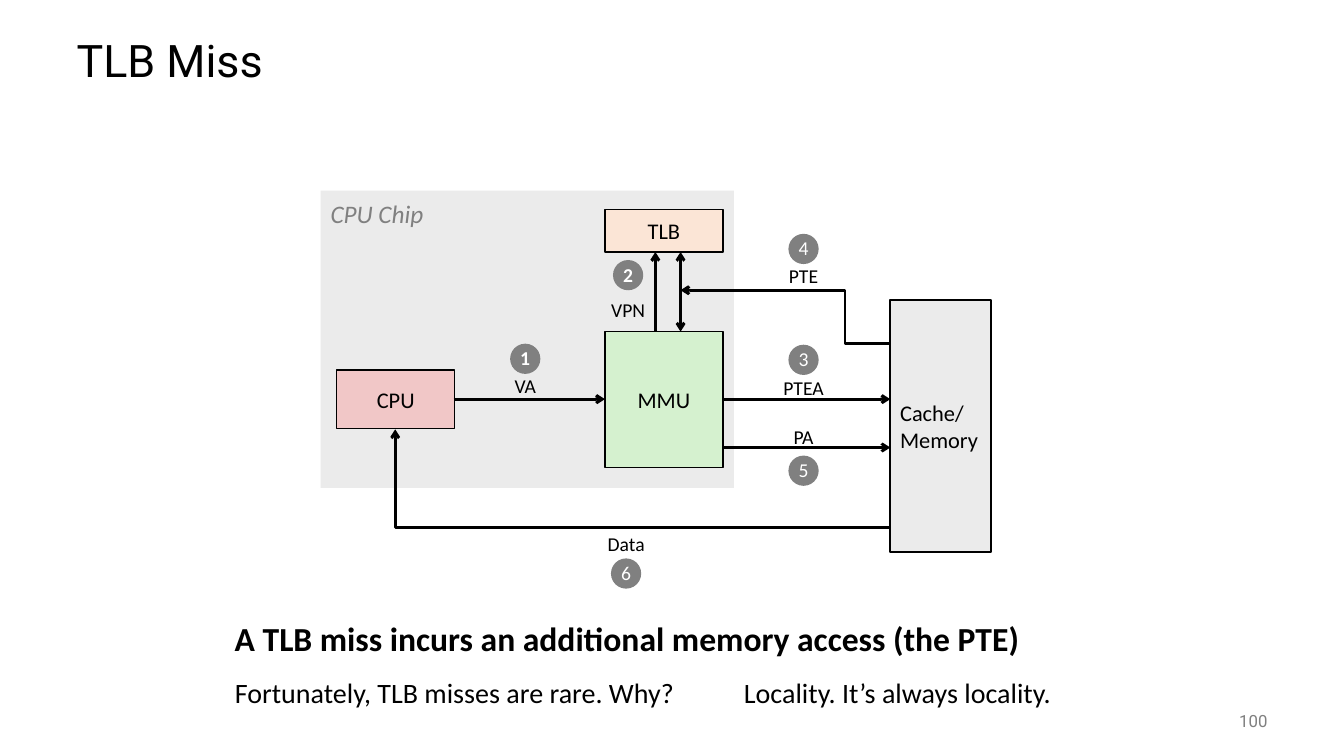
from lxml import etree
from pptx import Presentation
from pptx.dml.color import RGBColor
from pptx.enum.shapes import MSO_CONNECTOR, MSO_SHAPE
from pptx.enum.text import MSO_ANCHOR, PP_ALIGN
from pptx.oxml.ns import qn
from pptx.util import Inches, Pt

RECT, OVAL = MSO_SHAPE.RECTANGLE, MSO_SHAPE.OVAL
STRAIGHT, ELBOW = MSO_CONNECTOR.STRAIGHT, MSO_CONNECTOR.ELBOW
LEFT, CENTER, RIGHT = PP_ALIGN.LEFT, PP_ALIGN.CENTER, PP_ALIGN.RIGHT
TOP, MIDDLE = MSO_ANCHOR.TOP, MSO_ANCHOR.MIDDLE

COLORS = {
    "ink": "000000", "white": "FFFFFF", "gray": "808080", "panel": "EBEBEB",
    "cpu": "F1C7C7", "mmu": "D5F1CF", "tlb": "FBE5D6",
}

COL = {
    "chip": 3.18, "cpu": 3.34, "cpu_mid": 3.92, "cpu_end": 4.5, "mmu": 6,
    "lookup": 6.5, "refill": 6.75, "mmu_end": 7.17, "memory": 8.83,
    "va": 5.21, "vpn": 6.23, "bus": 7.97, "data": 6.21, "notes": 2.23,
}
ROW = {
    "chip": 1.89, "tlb": 2.08, "tlb_end": 2.5, "pte": 2.88, "memory": 2.98,
    "mmu": 3.29, "pte_out": 3.41, "cpu": 3.67, "address": 3.96,
    "cpu_end": 4.26, "pa": 4.44, "data": 5.23, "notes": 6.08, "answer": 6.65,
}
UNIT_W, BADGE, LABEL_H = 1.17, 0.3, 0.33

TITLE = "TLB Miss"
PAGE = "100"

UNITS = [
    (["MMU"], "mmu", "mmu", UNIT_W, 1.35, "mmu", 1, CENTER),
    (["Cache/", "Memory"], "memory", "memory", 1, 2.5, "panel", 1.5, LEFT),
    (["CPU"], "cpu", "cpu", UNIT_W, 0.58, "cpu", 1, CENTER),
    (["TLB"], "mmu", "tlb", UNIT_W, 0.42, "tlb", 1, CENTER),
]

ARROWS = [
    (("mmu_end", "pa"), ("memory", "pa"), ["tailEnd"]),
    (("cpu_end", "address"), ("mmu", "address"), ["tailEnd"]),
    (("lookup", "mmu"), ("lookup", "tlb_end"), ["tailEnd"]),
    (("refill", "tlb_end"), ("refill", "mmu"), ["headEnd", "tailEnd"]),
    (("mmu_end", "address"), ("memory", "address"), ["tailEnd"]),
    (("memory", "data"), ("cpu_mid", "cpu_end"), ["tailEnd"]),
    (("memory", "pte_out"), ("refill", "pte"), ["tailEnd"]),
]
CORNER_ARROW, STEP_ARROW = 5, 6
STEP_SHARE = 0.216

STEPS = [
    ("1", "VA", "va", 3.56, 3.84, 0.42, True),
    ("2", "VPN", "vpn", 2.73, 3.08, 0.55, True),
    ("3", "PTEA", "bus", 3.57, 3.86, 0.61, False),
    ("4", "PTE", "bus", 2.47, 2.74, 0.5, False),
    ("5", "PA", "bus", 4.67, 4.34, 0.41, False),
    ("6", "Data", "data", 5.69, 5.4, 0.58, False),
]

NOTES = [
    ("A TLB miss incurs an additional memory access (the PTE)",
     COL["notes"], ROW["notes"], 8.43, 1, 24, True),
    ("Fortunately, TLB misses are rare. Why?",
     COL["notes"], ROW["answer"], 4.65, 0.44, 20, False),
    ("Locality. It’s always locality.",
     7.28, ROW["answer"], 3.28, 0.44, 20, False),
]

deck = Presentation()
deck.slide_width, deck.slide_height = Inches(13.33), Inches(7.5)
slide = deck.slides.add_slide(deck.slide_layouts[5])


def rgb(name):
    return RGBColor.from_string(COLORS[name])


def write(target, lines, size, color="ink", align=LEFT, anchor=MIDDLE,
          bold=False, italic=False, font="Calibri", wrap=False, spacing=None):
    frame = target.text_frame
    frame.word_wrap = wrap
    frame.vertical_anchor = anchor
    for index, line in enumerate(lines):
        paragraph = frame.add_paragraph() if index else frame.paragraphs[0]
        paragraph.alignment = align
        if spacing:
            paragraph.line_spacing = spacing
        run = paragraph.add_run()
        run.text = line
        run.font.name, run.font.size = font, Pt(size)
        run.font.bold, run.font.italic = bold, italic
        run.font.color.rgb = rgb(color)


def add_block(kind, x, y, w, h, fill, border=0):
    block = slide.shapes.add_shape(kind, Inches(x), Inches(y), Inches(w), Inches(h))
    block.shadow.inherit = False
    block.fill.solid()
    block.fill.fore_color.rgb = rgb(fill)
    if border:
        block.line.color.rgb = rgb("ink")
        block.line.width = Pt(border)
    else:
        block.line.fill.background()
    return block


def add_words(text, x, y, w, h, size, **style):
    box = slide.shapes.add_textbox(Inches(x), Inches(y), Inches(w), Inches(h))
    write(box, [text], size, **style)


def add_arrow(kind, start, end, heads):
    (x1, y1), (x2, y2) = start, end
    arrow = slide.shapes.add_connector(
        kind, Inches(COL[x1]), Inches(ROW[y1]), Inches(COL[x2]), Inches(ROW[y2]))
    arrow.line.color.rgb = rgb("ink")
    arrow.line.width = Pt(2)
    properties = arrow.element.spPr
    outline = properties.find(qn("a:ln"))
    for head in heads:
        etree.SubElement(outline, qn("a:" + head), type="arrow")
    etree.SubElement(properties, qn("a:effectLst"))
    return arrow


title = slide.shapes.title
title.left, title.top = Inches(0.66), Inches(0.25)
title.width, title.height = Inches(12), Inches(0.75)
write(title, [TITLE], 32, font="Roboto", wrap=True, spacing=0.9)

add_block(RECT, COL["chip"], ROW["chip"], 4.1, 2.95, "panel")
add_words("CPU Chip", COL["chip"], ROW["chip"] + 0.03, 1.16, 0.4, 18,
          color="gray", italic=True, anchor=TOP)

for lines, column, row, w, h, fill, border, align in UNITS:
    unit = add_block(RECT, COL[column], ROW[row], w, h, fill, border)
    write(unit, lines, 16, align=align)

for index, (start, end, heads) in enumerate(ARROWS):
    bent = index in (CORNER_ARROW, STEP_ARROW)
    arrow = add_arrow(ELBOW if bent else STRAIGHT, start, end, heads)
    if index == CORNER_ARROW:
        arrow.element.spPr.find(qn("a:prstGeom")).set("prst", "bentConnector2")
    if index == STEP_ARROW:
        guides = arrow.element.spPr.find(qn("a:prstGeom")).find(qn("a:avLst"))
        etree.SubElement(guides, qn("a:gd"), name="adj1",
                         fmla=f"val {round(STEP_SHARE * 100000)}")

for number, label, column, badge_y, label_y, label_w, bold in STEPS:
    x = COL[column]
    badge = add_block(OVAL, x - BADGE / 2, badge_y - BADGE / 2, BADGE, BADGE, "gray")
    write(badge, [number], 14, color="white", align=CENTER, bold=bold, spacing=0.98)
    add_words(label, x - label_w / 2, label_y - LABEL_H / 2, label_w, LABEL_H, 14,
              align=CENTER, spacing=0.98)

for text, x, y, w, h, size, bold in NOTES:
    add_words(text, x, y, w, h, size, bold=bold, anchor=TOP, wrap=bold)

add_words(PAGE, 11.67, 6.95, 1, 0.4, 12, color="gray", align=RIGHT,
          font="Roboto", wrap=True)

deck.save("out.pptx")
